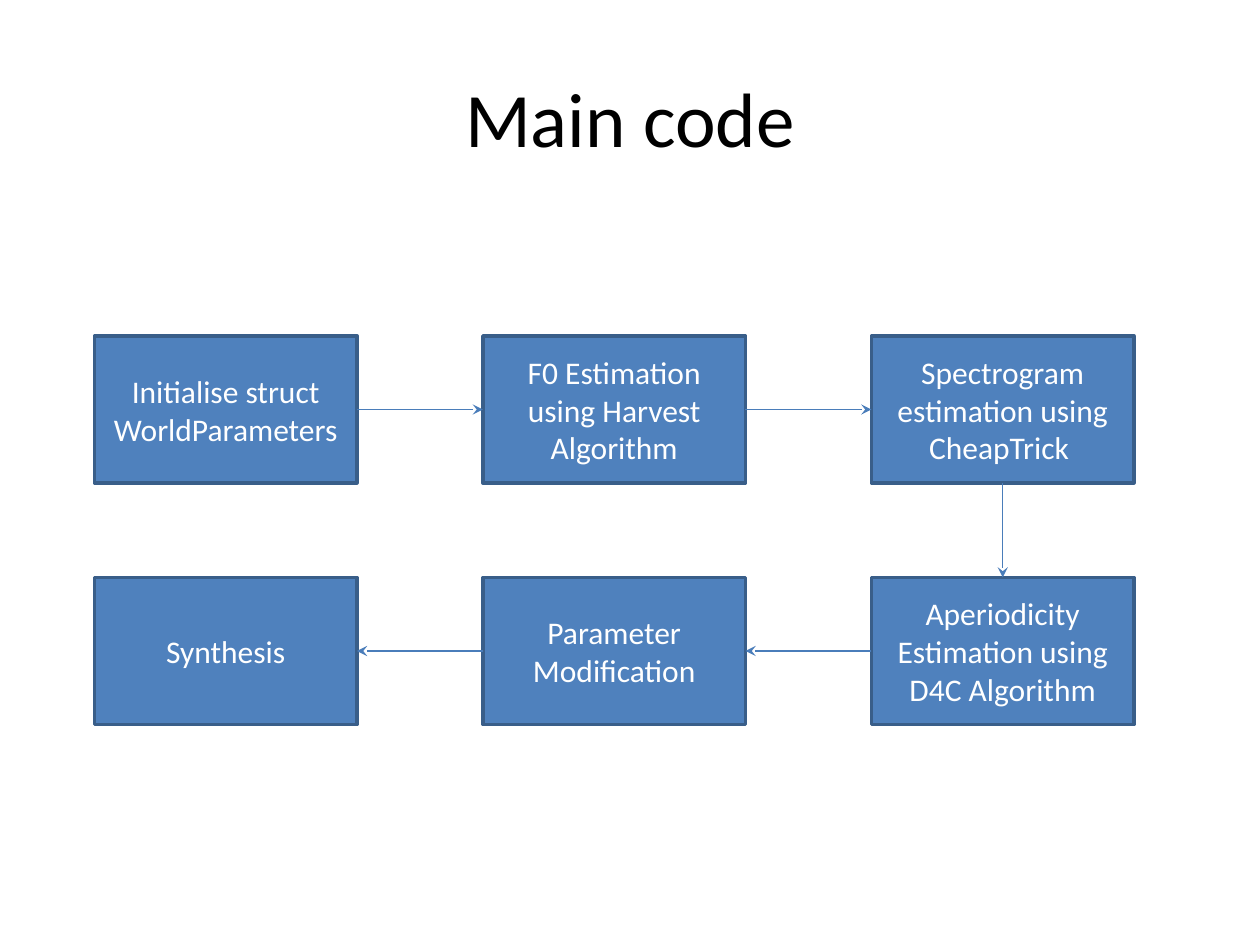
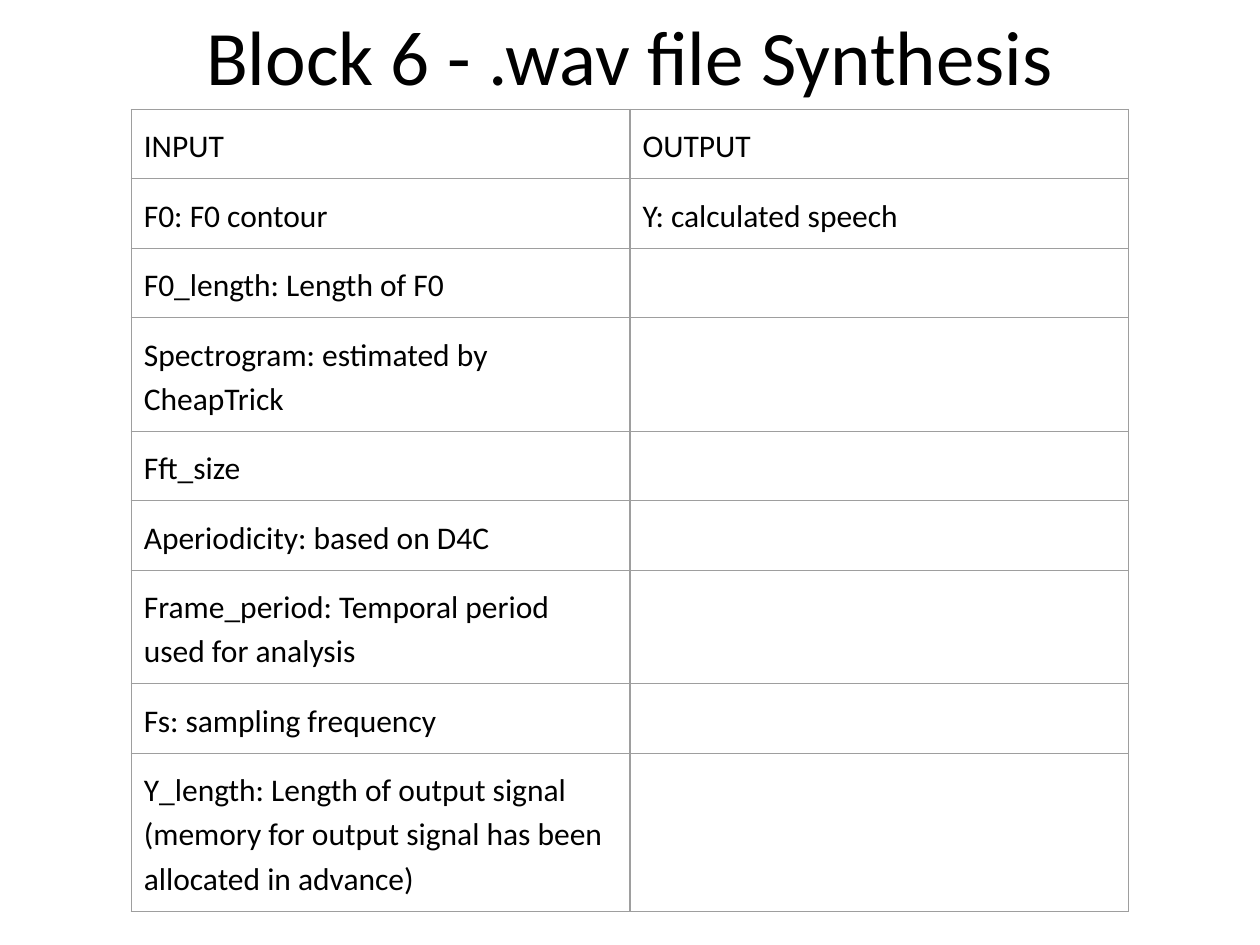
"""Build two slides: the flow of the main code and the inputs of the synthesis block."""
from dataclasses import dataclass

from lxml.etree import SubElement
from pptx import Presentation
from pptx.dml.color import RGBColor as Color
from pptx.enum.shapes import MSO_CONNECTOR as Connector, MSO_SHAPE as Preset
from pptx.enum.text import MSO_ANCHOR as Anchor, MSO_AUTO_SIZE as AutoSize, PP_ALIGN as Align
from pptx.oxml.ns import qn
from pptx.util import Pt


@dataclass(frozen=True)
class Theme:
    """Fonts, type sizes, colours and line widths shared by the slides."""
    font: str = "Calibri"
    title_size: float = 44
    body_size: float = 18
    text: str = "000000"
    box_text: str = "FFFFFF"
    box_fill: str = "4F81BD"
    box_line: str = "395E89"
    arrow: str = "4A7DBA"
    border: str = "9E9E9E"
    box_line_width: float = 2
    thin_line_width: float = 0.75


THEME = Theme()
TOP, LEFT, BOTTOM, RIGHT = range(4)

BOX_WIDTH, BOX_HEIGHT = 150, 84
FLOW_LEFT, FLOW_TOP = 54, 192
COLUMN_STEP, ROW_STEP = 222, 138
FLOW_STEPS = [
    ("Initialise struct WorldParameters", 0, 0),
    ("F0 Estimation using Harvest Algorithm", 1, 0),
    ("Spectrogram estimation using CheapTrick ", 2, 0),
    ("Aperiodicity Estimation using D4C Algorithm", 2, 1),
    ("Parameter Modification", 1, 1),
    ("Synthesis", 0, 1),
]
FLOW_SIDES = [(RIGHT, LEFT), (RIGHT, LEFT), (BOTTOM, TOP), (LEFT, RIGHT), (LEFT, RIGHT)]

COLUMN_WIDTH, CELL_MARGIN = 285, 7.2
CELL_SPACING = 1.15
LINE_HEIGHT = 25.2
SYNTHESIS_ROWS = [
    ("INPUT", "OUTPUT", 1),
    ("F0: F0 contour", "Y: calculated speech", 1),
    ("F0_length: Length of F0", "", 1),
    ("Spectrogram: estimated by CheapTrick", "", 2),
    ("Fft_size", "", 1),
    ("Aperiodicity: based on D4C", "", 1),
    ("Frame_period: Temporal period used for analysis", "", 2),
    ("Fs: sampling frequency", "", 1),
    ("Y_length: Length of output signal (memory for output signal has been "
     "allocated in advance)", "", 3),
]


def set_text(text_frame, text, size, color, align):
    """Write one paragraph and format it."""
    text_frame.text = text
    paragraph = text_frame.paragraphs[0]
    paragraph.alignment = align
    for run in paragraph.runs:
        run.font.name = THEME.font
        run.font.size = Pt(size)
        run.font.color.rgb = Color.from_string(color)
    return paragraph


def set_line(line, color, width):
    """Give a line its colour and width."""
    line.color.rgb = Color.from_string(color)
    line.width = Pt(width)


def add_titled_slide(presentation, title, top, height):
    """Add a title-only slide and place its title."""
    slide = presentation.slides.add_slide(presentation.slide_layouts[5])
    shape = slide.shapes.title
    shape.left, shape.top, shape.width, shape.height = Pt(36), Pt(top), Pt(648), Pt(height)
    set_text(shape.text_frame, title, THEME.title_size, THEME.text, Align.CENTER)
    shape.text_frame.vertical_anchor = Anchor.MIDDLE
    shape.text_frame.auto_size = AutoSize.NONE
    return slide


def add_step_box(slide, text, column, row):
    """Add one step of the flow at its place in the grid."""
    shape = slide.shapes.add_shape(
        Preset.RECTANGLE, Pt(FLOW_LEFT + column * COLUMN_STEP), Pt(FLOW_TOP + row * ROW_STEP),
        Pt(BOX_WIDTH), Pt(BOX_HEIGHT))
    shape.shadow.inherit = False
    shape.fill.solid()
    shape.fill.fore_color.rgb = Color.from_string(THEME.box_fill)
    set_line(shape.line, THEME.box_line, THEME.box_line_width)
    shape.text_frame.word_wrap = True
    shape.text_frame.vertical_anchor = Anchor.MIDDLE
    set_text(shape.text_frame, text, THEME.body_size, THEME.box_text, Align.CENTER)
    return shape


def add_arrow(slide, start, start_side, end, end_side):
    """Join two boxes with a straight arrow."""
    connector = slide.shapes.add_connector(Connector.STRAIGHT, 0, 0, 0, 0)
    connector.begin_connect(start, start_side)
    connector.end_connect(end, end_side)
    set_line(connector.line, THEME.arrow, THEME.thin_line_width)
    properties = connector.element.spPr
    SubElement(properties.find(qn("a:ln")), qn("a:tailEnd"), type="stealth")
    SubElement(properties, qn("a:effectLst"))


def add_cell_borders(cell):
    """Draw the four borders of a table cell."""
    properties = cell._tc.get_or_add_tcPr()
    for side in ("a:lnL", "a:lnR", "a:lnT", "a:lnB"):
        line = SubElement(properties, qn(side), w=str(Pt(THEME.thin_line_width)))
        fill = SubElement(line, qn("a:solidFill"))
        SubElement(fill, qn("a:srgbClr"), val=THEME.border)


def format_cell(cell, text):
    """Fill in one table cell with margins, borders and text."""
    cell.margin_left = cell.margin_right = Pt(CELL_MARGIN)
    cell.margin_top = cell.margin_bottom = Pt(CELL_MARGIN)
    add_cell_borders(cell)
    cell.fill.background()
    paragraph = set_text(cell.text_frame, text, THEME.body_size, THEME.text, Align.LEFT)
    paragraph.line_spacing = CELL_SPACING
    paragraph.font.size = Pt(THEME.body_size)


def add_plain_table(slide, rows, left, top):
    """Add a two-column table whose row heights follow their line counts."""
    heights = [2 * CELL_MARGIN + lines * LINE_HEIGHT for *_, lines in rows]
    frame = slide.shapes.add_table(
        len(rows), 2, Pt(left), Pt(top), Pt(2 * COLUMN_WIDTH), Pt(sum(heights)))
    table = frame.table
    table.first_row = table.horz_banding = False
    for column in table.columns:
        column.width = Pt(COLUMN_WIDTH)
    for row, height, (*texts, _) in zip(table.rows, heights, rows):
        row.height = Pt(height)
        for cell, text in zip(row.cells, texts):
            format_cell(cell, text)


def add_main_code_slide(presentation):
    """Show the steps of the main code as a flow."""
    slide = add_titled_slide(presentation, "Main code", 21.6, 90)
    boxes = [add_step_box(slide, *step) for step in FLOW_STEPS]
    for start, end, (start_side, end_side) in zip(boxes, boxes[1:], FLOW_SIDES):
        add_arrow(slide, start, start_side, end, end_side)


def add_synthesis_slide(presentation):
    """List the inputs and the output of the synthesis block."""
    slide = add_titled_slide(presentation, "Block 6 - .wav file Synthesis", 0, 62.5)
    add_plain_table(slide, SYNTHESIS_ROWS, 75, 62.5)


def main():
    """Build and save the presentation."""
    presentation = Presentation()
    presentation.slide_width, presentation.slide_height = Pt(720), Pt(540)
    add_main_code_slide(presentation)
    add_synthesis_slide(presentation)
    presentation.save("out.pptx")


if __name__ == "__main__":
    main()
